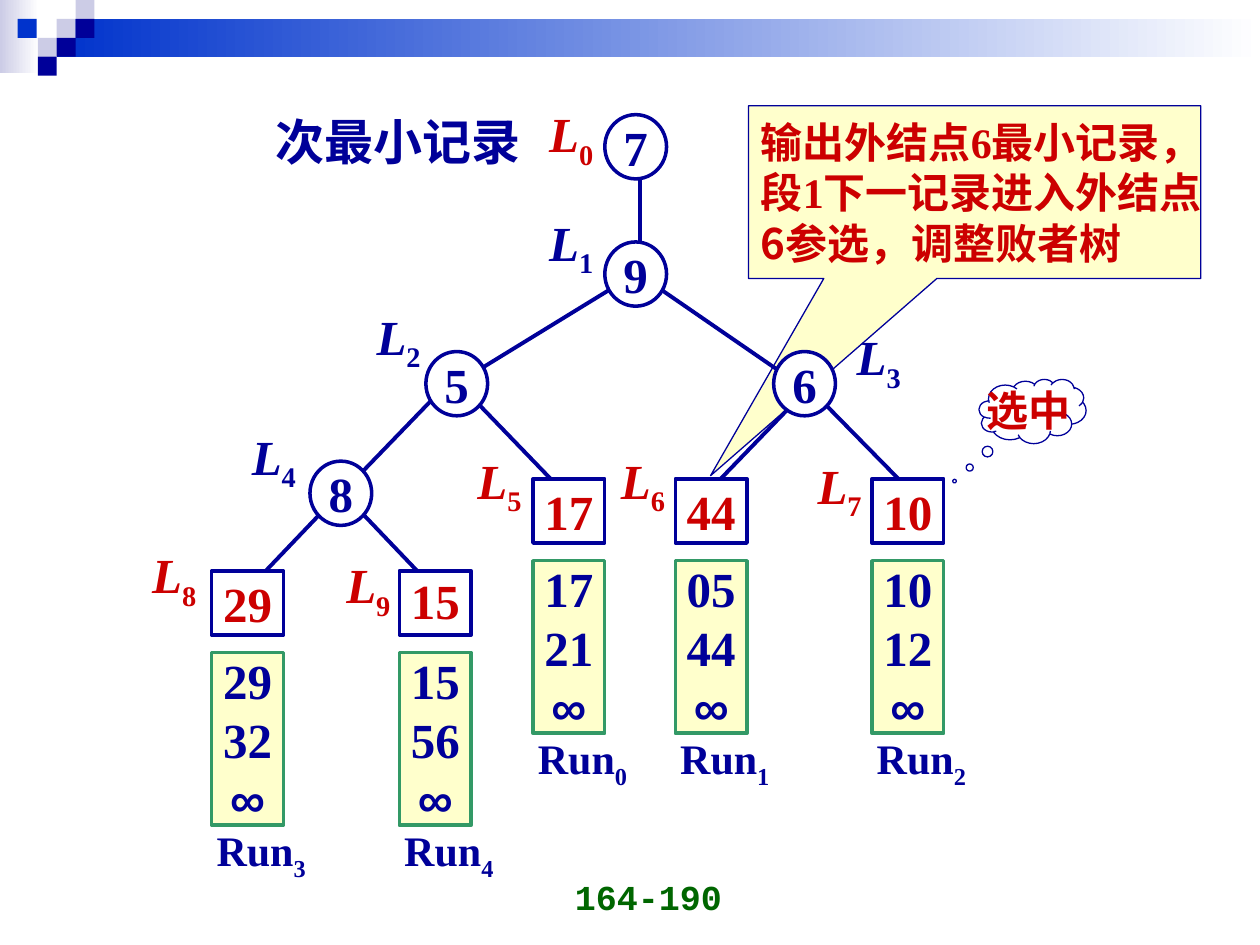
from dataclasses import dataclass
from lxml.etree import SubElement
from pptx import Presentation
from pptx.dml.color import RGBColor
from pptx.enum.shapes import MSO_CONNECTOR, MSO_SHAPE
from pptx.enum.text import MSO_ANCHOR, PP_ALIGN
from pptx.oxml.ns import qn
from pptx.util import Inches, Pt


@dataclass(frozen=True)
class Theme:
    navy: str = "000099"
    blue: str = "0033CC"
    lavender: str = "CCCCE6"
    red: str = "CC0000"
    green: str = "339966"
    page_green: str = "006600"
    cream: str = "FFFFCC"
    white: str = "FFFFFF"
    serif: str = "Times New Roman"
    sans: str = "Arial"
    mono: str = "Courier New"
    cjk: str = "Noto Sans CJK SC"
    large: int = 28
    medium: int = 24
    small: int = 20


theme = Theme()
prs = Presentation()
prs.slide_width, prs.slide_height = Inches(10), Inches(7.5)
slide = prs.slides.add_slide(prs.slide_layouts[6])


def add_box(kind, x, y, w, h, fill=None, line=None, weight=2):
    at = [Inches(v) for v in (x, y, w, h)]
    if kind is None:
        return slide.shapes.add_textbox(*at)
    s = slide.shapes.add_shape(kind, *at)
    s.shadow.inherit = False
    if fill:
        s.fill.solid()
        s.fill.fore_color.rgb = RGBColor.from_string(fill)
    else:
        s.fill.background()
    if line:
        s.line.color.rgb = RGBColor.from_string(line)
        s.line.width = Pt(weight)
    else:
        s.line.fill.background()
    return s


def write(s, lines, size, color, align=PP_ALIGN.CENTER, font=theme.serif,
          anchor=MSO_ANCHOR.MIDDLE, spacing=1.2):
    tf = s.text_frame
    tf.word_wrap = False
    tf.vertical_anchor = anchor
    for i, texts in enumerate(lines):
        p = tf.add_paragraph() if i else tf.paragraphs[0]
        p.alignment = align
        p.line_spacing = Pt(round(size * spacing, 1))
        p.font.size, p.font.bold = Pt(size), True
        p.font.color.rgb = RGBColor.from_string(color)
        p.font.name = font
        SubElement(p._p.pPr.find(qn("a:defRPr")), qn("a:ea"), typeface=theme.cjk)
        for text in texts:
            p.add_run().text = text
    return tf


for x, y, w, h, color in [(0, 0, 0.31, 0.58, theme.lavender),
                          (0.45, 0.15, 9.55, 0.3, theme.blue)]:
    s = add_box(MSO_SHAPE.RECTANGLE, x, y, w, h)
    s.fill.gradient()
    s.fill.gradient_angle = 0
    for stop, end in zip(s.fill.gradient_stops, (color, theme.white)):
        stop.color.rgb = RGBColor.from_string(end)

for x, y, color in [(0.45, 0.15, theme.lavender), (0.6, 0, theme.lavender),
                    (0.6, 0.15, theme.navy), (0.3, 0.3, theme.lavender),
                    (0.14, 0.15, theme.blue), (0.45, 0.3, theme.navy),
                    (0.3, 0.45, theme.navy)]:
    add_box(MSO_SHAPE.RECTANGLE, x, y, 0.15, 0.15, color)

write(add_box(None, 3.5, 6.83, 2.33, 0.5), [["164-190"]], theme.small,
      theme.page_green, PP_ALIGN.RIGHT, theme.mono, MSO_ANCHOR.BOTTOM)
write(add_box(None, 2.09, 0.84, 2.14, 0.57), [["次最小记录"]], theme.large,
      theme.navy, PP_ALIGN.LEFT, anchor=MSO_ANCHOR.TOP)

s = add_box(MSO_SHAPE.RECTANGULAR_CALLOUT, 5.94, 0.84, 3.59, 1.37,
            theme.cream, theme.navy, 0.75)
s.adjustments[0], s.adjustments[1] = -0.584, 1.643
tf = write(s, [["输出外结点", "6", "最小记录，"],
               ["段", "1", "下一记录进入外结点"],
               ["6参选，调整败者树"]],
           theme.medium, theme.red, PP_ALIGN.LEFT, theme.cjk)
for p in tf.paragraphs[:2]:
    p.runs[1].font.name = theme.serif

for x1, y1, x2, y2 in [(5.08, 1.92, 5.08, 1.41), (5.72, 3.8, 6.28, 3.22),
                       (5.22, 2.28, 6.28, 3.01), (3.81, 2.93, 4.87, 2.28),
                       (2.89, 4.09, 3.31, 4.53), (2.89, 3.73, 3.45, 3.15),
                       (3.81, 3.22, 4.37, 3.8), (2.53, 4.09, 2.11, 4.53),
                       (6.56, 3.22, 7.13, 3.8)]:
    s = slide.shapes.add_connector(MSO_CONNECTOR.STRAIGHT, Inches(x1), Inches(y1),
                                   Inches(x2), Inches(y2))
    s.line.color.rgb = RGBColor.from_string(theme.navy)
    s.line.width = Pt(2.25)
    SubElement(s._element.spPr, qn("a:effectLst"))

leaves = [(1.68, 4.53, "29", ["29", "32"], "3", 1.2),
          (3.17, 4.53, "15", ["15", "56"], "4", 1.08),
          (4.23, 3.8, "17", ["17", "21"], "0", 1.2),
          (5.36, 3.8, "44", ["05", "44"], "1", 1.2),
          (6.92, 3.8, "10", ["10", "12"], "2", 1.2)]
for x, y, key, records, run_no, spacing in leaves:
    s = add_box(MSO_SHAPE.RECTANGLE, x, y + 0.65, 0.57, 1.37, theme.cream, theme.green)
    tf = write(s, [[v] for v in records + ["∞"]], theme.large, theme.navy)
    tf.paragraphs[-1].font.name = theme.sans
    s = add_box(MSO_SHAPE.RECTANGLE, x, y, 0.57, 0.51, theme.white, theme.navy)
    write(s, [[key]], theme.large, theme.red, spacing=spacing)
    s = add_box(None, x - 0.06, y + 2.02, 0.91, 0.56)
    tf = write(s, [["Run", run_no]], theme.medium, theme.navy, PP_ALIGN.LEFT,
               anchor=MSO_ANCHOR.TOP)
    tf.paragraphs[0].runs[1].font._element.set("baseline", "-25000")

for x, y, loser in [(2.46, 3.66, "8"), (3.38, 2.79, "5"), (6.14, 2.79, "6"),
                    (4.8, 1.92, "9"), (4.8, 0.91, "7")]:
    s = add_box(MSO_SHAPE.OVAL, x, y, 0.49, 0.51, theme.white, theme.navy)
    write(s, [[loser]], theme.large, theme.navy)

node_labels = [(4.26, 0.84, theme.red), (4.26, 1.7, theme.navy),
               (2.89, 2.45, theme.navy), (6.7, 2.61, theme.navy),
               (1.9, 3.4, theme.navy), (3.69, 3.59, theme.red),
               (4.83, 3.59, theme.red), (6.39, 3.63, theme.red),
               (1.11, 4.34, theme.red), (2.65, 4.42, theme.red)]
for i, (x, y, color) in enumerate(node_labels):
    tf = write(add_box(None, x, y, 0.55, 0.63), [["L", str(i)]], theme.large, color,
               PP_ALIGN.LEFT, anchor=MSO_ANCHOR.TOP)
    letter, index = tf.paragraphs[0].runs
    letter.font.italic = True
    index.font._element.set("baseline", "-25000")

s = add_box(MSO_SHAPE.CLOUD_CALLOUT, 7.77, 3.01, 0.85, 0.51, None, theme.navy, 0.75)
s.adjustments[0], s.adjustments[1] = -0.729, 1.086
write(s, [["选中"]], theme.medium, theme.red)

prs.save("out.pptx")
